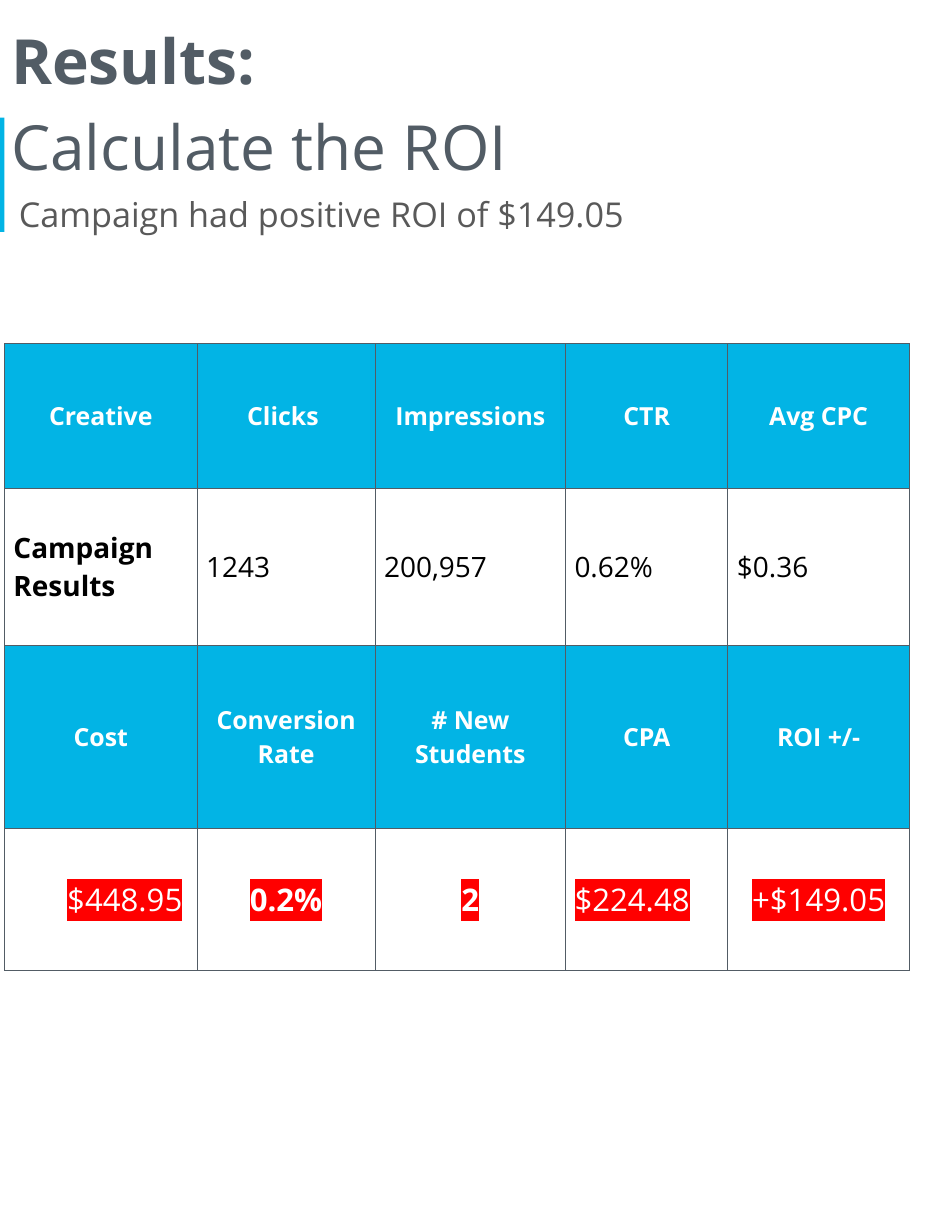
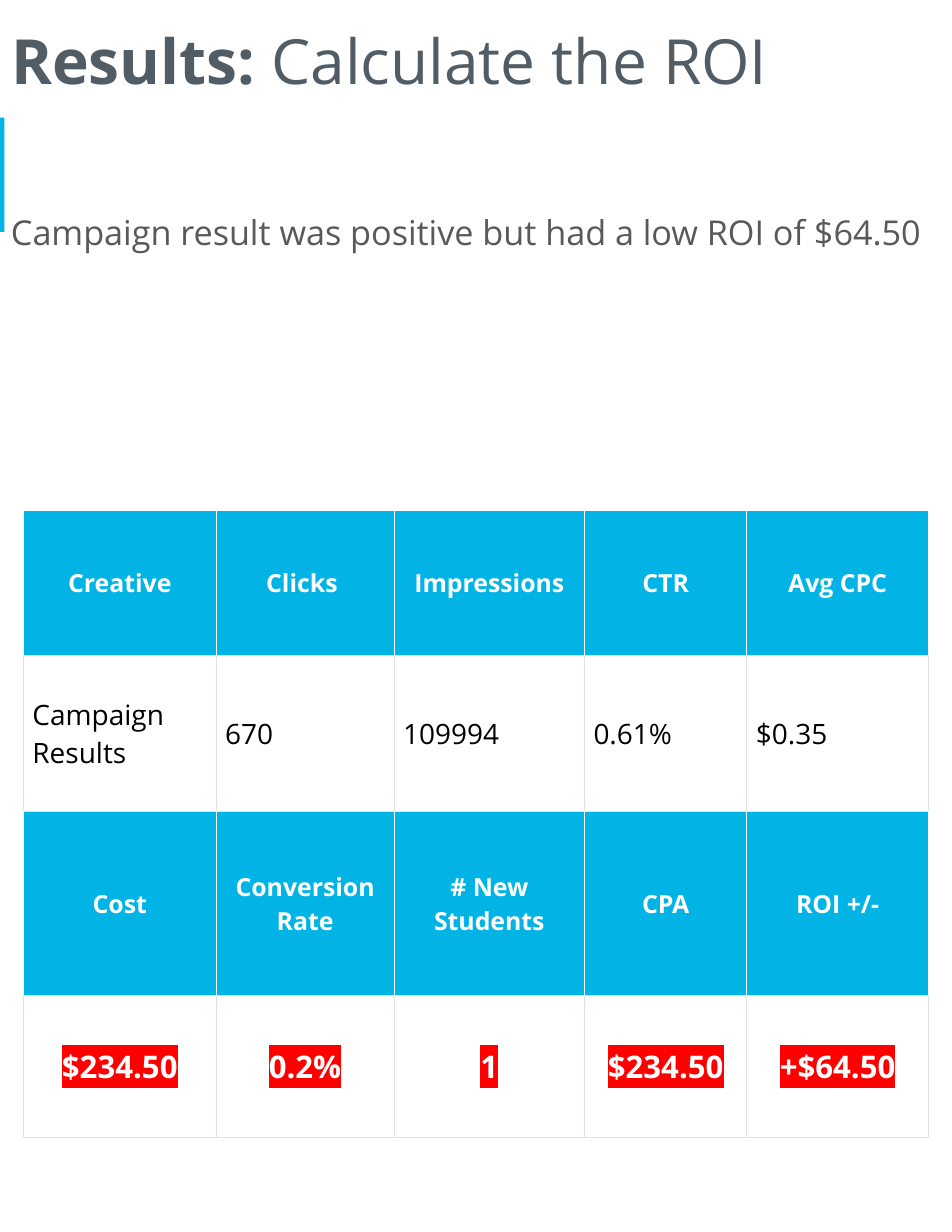
from dataclasses import dataclass

from lxml import etree
from pptx import Presentation
from pptx import util as u
from pptx.dml.color import RGBColor
from pptx.enum import shapes, text
from pptx.oxml import ns

FONT = "Open Sans"
CYAN, SLATE, GREY, MIST = "02B4E5", "525C65", "595959", "DBE2E8"
WHITE, BLACK, RED = "FFFFFF", "000000", "FF0000"
LEFT, CENTER = text.PP_ALIGN.LEFT, text.PP_ALIGN.CENTER
COLUMN_WIDTHS = (1.72, 1.59, 1.7, 1.45, 1.62)
ROW_HEIGHTS = (1.29, 1.4, 1.64, 1.27)
METRIC_HEADERS = ("Creative", "Clicks ", "Impressions", "CTR", "Avg CPC")
RETURN_HEADERS = ("Cost", "Conversion Rate", "# New Students", "CPA", "ROI +/-")


@dataclass(frozen=True)
class Figure:
    text: str
    bold: bool = False
    align: text.PP_ALIGN = LEFT
    indent: float = 0


@dataclass(frozen=True)
class RowStyle:
    size: int
    color: str
    fill: str | None = None
    highlight: str | None = None


@dataclass(frozen=True)
class Box:
    left: float
    top: float
    width: float
    height: float


@dataclass(frozen=True)
class ResultPage:
    title_lines: tuple[tuple[str, ...], ...]
    title_box: Box
    summary: str
    summary_box: Box
    table_left: float
    table_top: float
    metrics: tuple[Figure, ...]
    returns: tuple[Figure, ...]
    border: str
    header_border: str


HEADER = RowStyle(16, WHITE, CYAN)
METRIC = RowStyle(18, BLACK)
RETURN = RowStyle(20, WHITE, WHITE, RED)
ROW_STYLES = (HEADER, METRIC, HEADER, RETURN)

PAGES = (
    ResultPage(
        (("Results:",), ("Calculate the ROI",)),
        Box(0, 0, 7.24, 1.57),
        "Campaign had positive ROI of $149.05",
        Box(0.07, 1.57, 8.37, 9.4),
        0.04, 3.07,
        (Figure("Campaign Results", bold=True), Figure("1243"),
         Figure("200,957"), Figure("0.62%"), Figure("$0.36")),
        (Figure("$448.95", indent=0.48), Figure("0.2%", True, CENTER),
         Figure("2", True, CENTER), Figure("$224.48"),
         Figure("+$149.05", align=CENTER)),
        SLATE, SLATE,
    ),
    ResultPage(
        (("Results: ", "Calculate the ROI"),),
        Box(0, 0, 7.92, 1.22),
        "Campaign result was positive but had a low ROI of $64.50",
        Box(0, 1.73, 8.5, 8.57),
        0.21, 4.56,
        tuple(Figure(value) for value in
              ("Campaign Results", "670", "109994", "0.61%", "$0.35")),
        tuple(Figure(value, True, CENTER) for value in
              ("$234.50", "0.2%", "1", "$234.50", "+$64.50")),
        MIST, WHITE,
    ),
)


def rgb(color: str) -> RGBColor:
    return RGBColor.from_string(color)


def format_span(span, size: int, color: str, bold: bool = False) -> None:
    span.font.name = FONT
    span.font.size = u.Pt(size)
    span.font.bold = bold
    span.font.color.rgb = rgb(color)


def highlight_span(span, color: str) -> None:
    highlight = etree.Element(ns.qn("a:highlight"))
    etree.SubElement(highlight, ns.qn("a:srgbClr"), val=color)
    span._r.get_or_add_rPr().find(ns.qn("a:solidFill")).addnext(highlight)


def set_borders(cell, colors: dict[str, str]) -> None:
    properties = cell._tc.get_or_add_tcPr()
    for position, (side, color) in enumerate(colors.items()):
        line = etree.Element(ns.qn(f"a:ln{side}"), w=str(u.Pt(0.75)))
        fill = etree.SubElement(line, ns.qn("a:solidFill"))
        etree.SubElement(fill, ns.qn("a:srgbClr"), val=color)
        properties.insert(position, line)


def place(shape, box: Box) -> None:
    shape.left, shape.top = u.Inches(box.left), u.Inches(box.top)
    shape.width, shape.height = u.Inches(box.width), u.Inches(box.height)


def prepare_frame(frame) -> None:
    frame.word_wrap = True
    frame.auto_size = text.MSO_AUTO_SIZE.NONE
    frame.vertical_anchor = text.MSO_ANCHOR.TOP
    frame.margin_left = frame.margin_right = u.Inches(0.1)
    frame.margin_top = frame.margin_bottom = u.Inches(0.1)


def format_para(para) -> None:
    para.alignment = LEFT
    para.line_spacing = 1.15
    para.space_before = u.Pt(0)


def draw_accent(page) -> None:
    accent = page.shapes.add_shape(
        shapes.MSO_SHAPE.RECTANGLE, 0, u.Inches(1.05), u.Inches(0.04), u.Inches(1.02))
    accent.shadow.inherit = False
    accent.fill.solid()
    accent.fill.fore_color.rgb = rgb(CYAN)
    accent.line.fill.background()


def draw_title(page, result: ResultPage) -> None:
    title = page.shapes.title
    place(title, result.title_box)
    frame = title.text_frame
    prepare_frame(frame)
    frame.text = "\n".join(line[0] for line in result.title_lines)
    for para, line in zip(frame.paragraphs, result.title_lines):
        format_para(para)
        for words in line[1:]:
            para.add_run().text = words
        for span in para.runs:
            format_span(span, 40, SLATE, span.text.startswith("Results:"))


def draw_summary(page, result: ResultPage) -> None:
    box = page.shapes.add_textbox(0, 0, 0, 0)
    place(box, result.summary_box)
    prepare_frame(box.text_frame)
    box.text_frame.text = result.summary
    para = box.text_frame.paragraphs[0]
    format_para(para)
    format_span(para.runs[0], 22, GREY)


def draw_cell(cell, figure: Figure, style: RowStyle) -> None:
    cell.vertical_anchor = text.MSO_ANCHOR.MIDDLE
    cell.margin_left = u.Inches(0.08 + figure.indent)
    cell.margin_right = u.Inches(0.08)
    cell.margin_top = cell.margin_bottom = u.Inches(0.2)
    if style.fill:
        cell.fill.solid()
        cell.fill.fore_color.rgb = rgb(style.fill)
    else:
        cell.fill.background()
    cell.text_frame.text = figure.text
    para = cell.text_frame.paragraphs[0]
    para.alignment = figure.align
    span = para.runs[0]
    format_span(span, style.size, style.color, figure.bold)
    if style.highlight:
        highlight_span(span, style.highlight)


def header_figures(labels: tuple[str, ...]) -> tuple[Figure, ...]:
    return tuple(Figure(label, True, CENTER) for label in labels)


def draw_table(page, result: ResultPage) -> None:
    table = page.shapes.add_table(
        len(ROW_HEIGHTS), len(COLUMN_WIDTHS),
        u.Inches(result.table_left), u.Inches(result.table_top),
        u.Inches(sum(COLUMN_WIDTHS)), u.Inches(sum(ROW_HEIGHTS))).table
    table.first_row = table.horz_banding = False
    for column, width in zip(table.columns, COLUMN_WIDTHS):
        column.width = u.Inches(width)
    for row, height in zip(table.rows, ROW_HEIGHTS):
        row.height = u.Inches(height)
    rows = (header_figures(METRIC_HEADERS), result.metrics,
            header_figures(RETURN_HEADERS), result.returns)
    for index, (figures, style) in enumerate(zip(rows, ROW_STYLES)):
        side = result.header_border if style is HEADER else result.border
        top = result.header_border if index == 0 else result.border
        for cell, figure in zip(table.rows[index].cells, figures):
            draw_cell(cell, figure, style)
            set_borders(cell, {"L": side, "R": side, "T": top, "B": result.border})


def main() -> None:
    deck = Presentation()
    deck.slide_width, deck.slide_height = u.Inches(8.5), u.Inches(11)
    title_only = deck.slide_layouts.get_by_name("Title Only")
    for result in PAGES:
        page = deck.slides.add_slide(title_only)
        draw_accent(page)
        draw_title(page, result)
        draw_summary(page, result)
        draw_table(page, result)
    deck.save("out.pptx")


if __name__ == "__main__":
    main()
